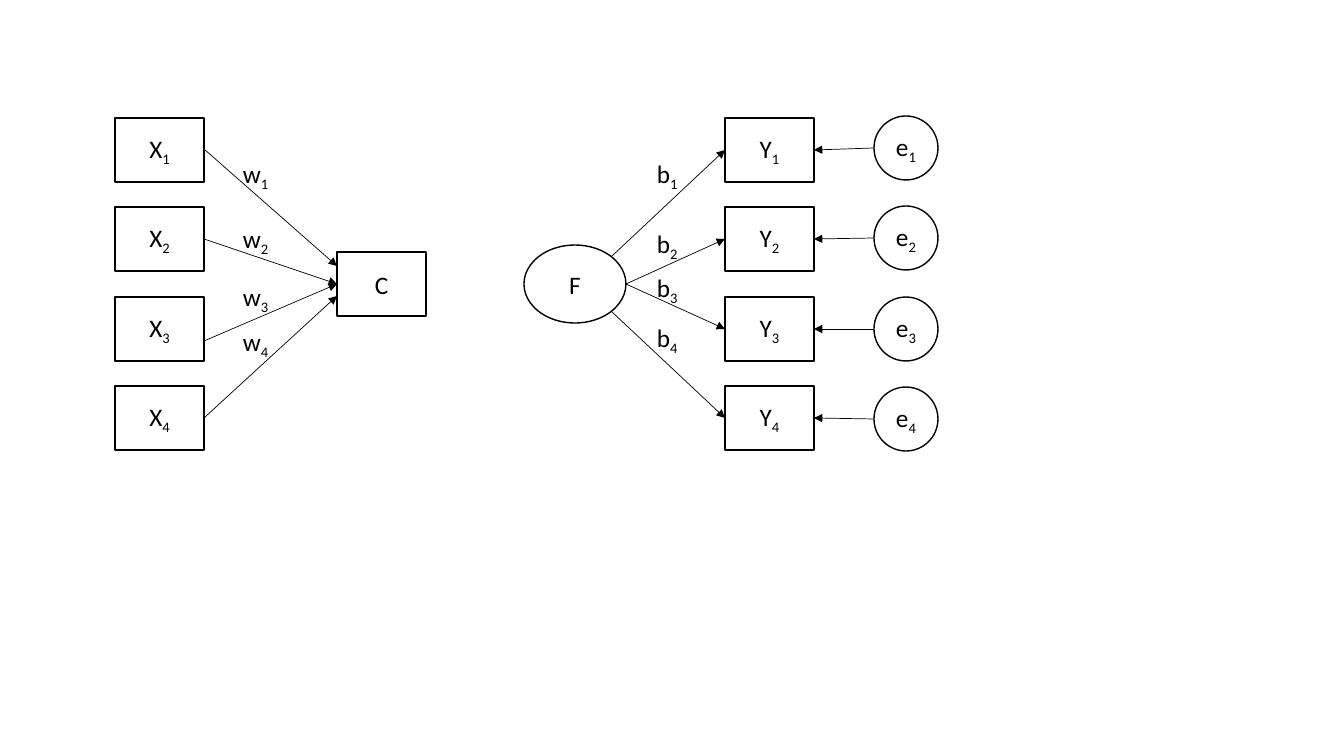
import dataclasses
import lxml.etree
import pptx
import pptx.dml.color
import pptx.enum.shapes
import pptx.enum.text
import pptx.oxml.ns
import pptx.util


@dataclasses.dataclass(frozen=True)
class Theme:
    ink: pptx.dml.color.RGBColor = pptx.dml.color.RGBColor(0, 0, 0)
    font: str = "Calibri"
    text_size: pptx.util.Pt = pptx.util.Pt(18)
    outline: pptx.util.Pt = pptx.util.Pt(1)
    arrow: pptx.util.Pt = pptx.util.Pt(0.5)


theme = Theme()
EMU_PER_PIXEL = 914400 / 100.8
RECTANGLE = pptx.enum.shapes.MSO_SHAPE.RECTANGLE
OVAL = pptx.enum.shapes.MSO_SHAPE.OVAL

presentation = pptx.Presentation()
presentation.slide_width = round(1344 * EMU_PER_PIXEL)
presentation.slide_height = round(756 * EMU_PER_PIXEL)
slide = presentation.slides.add_slide(presentation.slide_layouts[6])


def add_variable(kind, box, letter, subscript=""):
    left, top, width, height = [round(value * EMU_PER_PIXEL) for value in box]
    if kind is None:
        shape = slide.shapes.add_textbox(left, top, width, height)
        shape.text_frame.word_wrap = False
        shape.text_frame.auto_size = pptx.enum.text.MSO_AUTO_SIZE.SHAPE_TO_FIT_TEXT
    else:
        shape = slide.shapes.add_shape(kind, left, top, width, height)
        shape.shadow.inherit = False
        shape.fill.background()
        shape.line.color.rgb = theme.ink
        shape.line.width = theme.outline
        shape._element.remove(shape._element.find(pptx.oxml.ns.qn("p:style")))
        shape.text_frame.vertical_anchor = pptx.enum.text.MSO_ANCHOR.MIDDLE
    paragraph = shape.text_frame.paragraphs[0]
    if kind is not None:
        paragraph.alignment = pptx.enum.text.PP_ALIGN.CENTER
    paragraph.font.name = theme.font
    paragraph.font.size = theme.text_size
    paragraph.font.color.rgb = theme.ink
    paragraph.add_run().text = letter
    if subscript:
        run = paragraph.add_run()
        run.text = subscript
        run._r.get_or_add_rPr().set("baseline", "-25000")


def add_arrow(start, end):
    points = [round(value * EMU_PER_PIXEL) for value in (*start, *end)]
    connector = slide.shapes.add_connector(
        pptx.enum.shapes.MSO_CONNECTOR.STRAIGHT, *points)
    connector.line.color.rgb = theme.ink
    connector.line.width = theme.arrow
    properties = connector._element.spPr
    line = properties.find(pptx.oxml.ns.qn("a:ln"))
    lxml.etree.SubElement(line, pptx.oxml.ns.qn("a:tailEnd"), type="triangle")
    lxml.etree.SubElement(properties, pptx.oxml.ns.qn("a:effectLst"))


add_variable(RECTANGLE, (337, 252, 89, 64), "C")
add_variable(OVAL, (524, 245, 102, 78), "F")

weight_starts = [149, 239, 341, 418]
weight_ends = [266, 284, 284, 296]
weight_tops = [153, 218, 276, 321]
loading_starts = [(611, 257), (626, 284), (626, 284), (611, 311)]
loading_tops = [153, 223, 267, 317]

for row in range(4):
    number = str(row + 1)
    box_top = 118 + 179 * row // 2
    error_top = 116 + 181 * row // 2
    box_middle = box_top + 32

    add_variable(RECTANGLE, (115, box_top, 89, 64), "X", number)
    add_variable(RECTANGLE, (725, box_top, 89, 64), "Y", number)
    add_variable(OVAL, (874, error_top, 64, 64), "e", number)

    add_arrow((204, weight_starts[row]), (337, weight_ends[row]))
    add_arrow(loading_starts[row], (725, box_middle))
    add_arrow((874, error_top + 32), (814, box_middle))

    add_variable(None, (233, weight_tops[row], 47, 40), "w", number)
    add_variable(None, (647, loading_tops[row], 42, 40), "b", number)

presentation.save("out.pptx")
